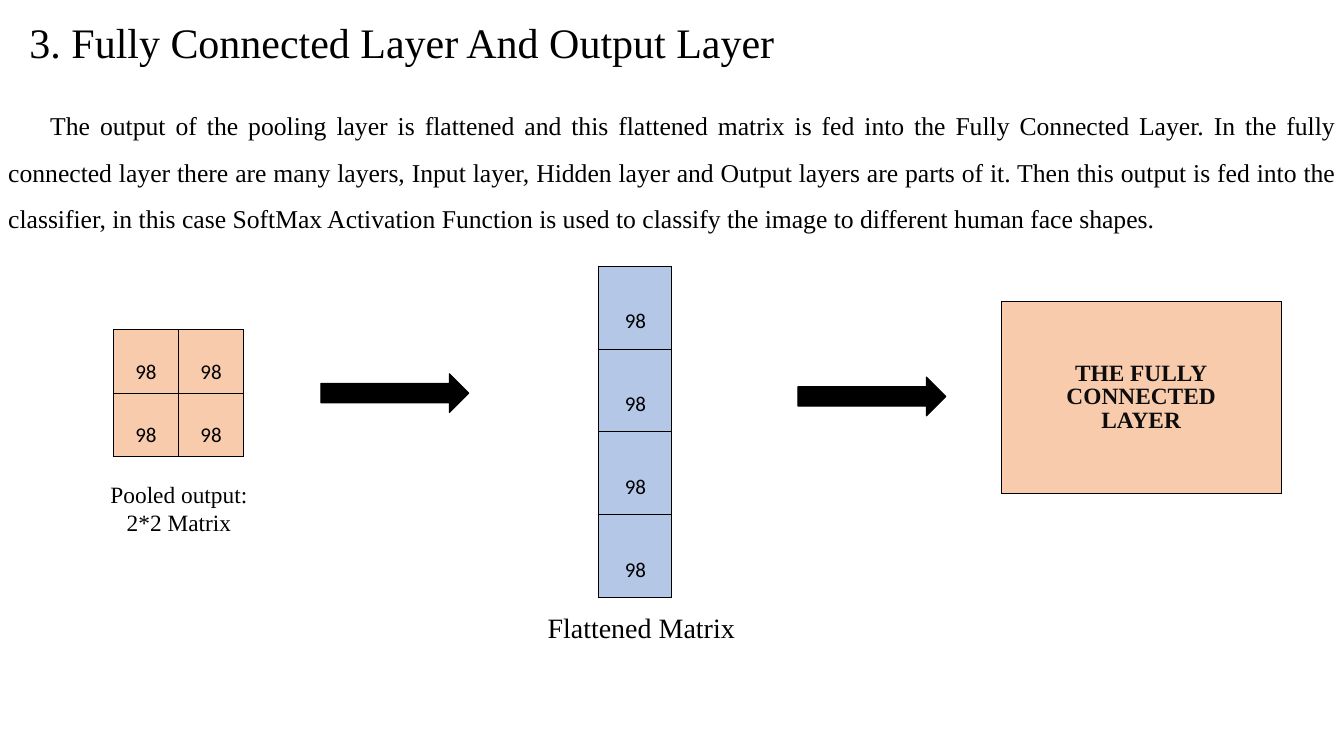
from dataclasses import dataclass

from lxml.etree import SubElement
from pptx import Presentation
from pptx.dml.color import RGBColor
from pptx.enum.shapes import MSO_SHAPE
from pptx.enum.text import MSO_ANCHOR, MSO_AUTO_SIZE, PP_ALIGN
from pptx.oxml.ns import qn
from pptx.util import Inches, Pt


@dataclass(frozen=True)
class Theme:
    serif: str = "Times New Roman"
    sans: str = "Calibri"
    black: str = "000000"
    ink: str = "0D0D0D"
    peach: str = "F8CBAD"
    blue: str = "B4C7E7"
    title: int = 36
    body: int = 22
    flat_label: int = 24
    label: int = 20
    value: int = 18


THEME = Theme()

TITLE = "3. Fully Connected Layer And Output Layer"
EXPLANATION = (
    "The output of the pooling layer is flattened and this flattened matrix is fed into the "
    "Fully Connected Layer. In the fully connected layer there are many layers, Input layer, "
    "Hidden layer and Output layers are parts of it. Then this output is fed into the classifier, "
    "in this case SoftMax Activation Function is used to classify the image to different human "
    "face shapes."
)
POOLED = [["98", "98"], ["98", "98"]]
FLATTENED = [[value] for row in POOLED for value in row]
CONNECTED_LINES = ["THE FULLY", "CONNECTED", "LAYER"]
POOLED_LABEL = ["Pooled output:", "2*2 Matrix"]
FLATTENED_LABEL = ["Flattened Matrix"]

# left, top, width, height in inches
TITLE_BOX = (0.25, 0.16, 14.5, 0.68)
EXPLANATION_BOX = (0, 1.08, 16, 1.7)
POOLED_BOX = (1.35, 3.92, 1.55, 1.52)
FLATTENED_BOX = (7.13, 3.17, 0.87, 3.94)
CONNECTED_BOX = (11.92, 3.59, 3.33, 2.29)
POOLED_LABEL_BOX = (0.39, 5.67, 3.48, 0.77)
FLATTENED_LABEL_BOX = (6.42, 7.22, 3.17, 0.5)
ARROW_BOXES = [(3.82, 4.45, 1.76, 0.46), (9.5, 4.49, 1.76, 0.46)]


def inches(box):
    return [Inches(length) for length in box]


def write(frame, lines, size, align=PP_ALIGN.LEFT, font=THEME.serif, color=THEME.black,
          bold=False, spacing=None):
    frame.word_wrap = True
    for index, line in enumerate(lines):
        paragraph = frame.paragraphs[0] if index == 0 else frame.add_paragraph()
        paragraph.alignment = align
        if spacing:
            paragraph.line_spacing = spacing
        run = paragraph.add_run()
        run.text = line
        run.font.name = font
        run.font.size = Pt(size)
        run.font.bold = bold
        run.font.color.rgb = RGBColor.from_string(color)


def add_label(slide, box, lines, size, **style):
    frame = slide.shapes.add_textbox(*inches(box)).text_frame
    write(frame, lines, size, **style)
    return frame


def outline_cell(cell):
    properties = cell._tc.get_or_add_tcPr()
    for position, side in enumerate(("a:lnL", "a:lnR", "a:lnT", "a:lnB")):
        line = properties.makeelement(qn(side), {"w": str(Pt(1))})
        fill = SubElement(line, qn("a:solidFill"))
        SubElement(fill, qn("a:srgbClr"), val=THEME.black)
        properties.insert(position, line)


def add_matrix(slide, box, rows, fill, size, **style):
    """Add an evenly divided table; each cell is given as a list of lines."""
    left, top, width, height = inches(box)
    table = slide.shapes.add_table(len(rows), len(rows[0]), left, top, width, height).table
    table.first_row = table.horz_banding = False
    for row, values in enumerate(rows):
        for column, lines in enumerate(values):
            cell = table.cell(row, column)
            cell.fill.solid()
            cell.fill.fore_color.rgb = RGBColor.from_string(fill)
            outline_cell(cell)
            write(cell.text_frame, lines, size, PP_ALIGN.CENTER, **style)
    return table


def add_arrow(slide, box):
    arrow = slide.shapes.add_shape(MSO_SHAPE.RIGHT_ARROW, *inches(box))
    arrow.shadow.inherit = False
    arrow.fill.solid()
    arrow.fill.fore_color.rgb = RGBColor.from_string(THEME.black)
    arrow.line.color.rgb = RGBColor.from_string(THEME.black)
    arrow.line.width = Pt(1)


def as_cells(values):
    return [[[value] for value in row] for row in values]


def main():
    deck = Presentation()
    deck.slide_width, deck.slide_height = Inches(16), Inches(9)
    slide = deck.slides.add_slide(deck.slide_layouts[5])

    title = slide.shapes.title
    title.left, title.top, title.width, title.height = inches(TITLE_BOX)
    title.text_frame.auto_size = MSO_AUTO_SIZE.NONE
    title.text_frame.vertical_anchor = MSO_ANCHOR.MIDDLE
    write(title.text_frame, [TITLE], THEME.title)

    explanation = add_label(slide, EXPLANATION_BOX, [EXPLANATION], THEME.body,
                            align=PP_ALIGN.JUSTIFY, spacing=1.5)
    explanation.paragraphs[0]._p.get_or_add_pPr().set("indent", str(Inches(0.5)))

    add_matrix(slide, POOLED_BOX, as_cells(POOLED), THEME.peach, THEME.value,
               font=THEME.sans, spacing=2.0)
    add_matrix(slide, FLATTENED_BOX, as_cells(FLATTENED), THEME.blue, THEME.value,
               font=THEME.sans, spacing=2.5)
    connected = add_matrix(slide, CONNECTED_BOX, [[CONNECTED_LINES]], THEME.peach, THEME.label,
                           color=THEME.ink, bold=True, spacing=0.9)
    connected.cell(0, 0).vertical_anchor = MSO_ANCHOR.MIDDLE

    for box in ARROW_BOXES:
        add_arrow(slide, box)

    add_label(slide, FLATTENED_LABEL_BOX, FLATTENED_LABEL, THEME.flat_label)
    add_label(slide, POOLED_LABEL_BOX, POOLED_LABEL, THEME.label, align=PP_ALIGN.CENTER)

    deck.save("out.pptx")


if __name__ == "__main__":
    main()
